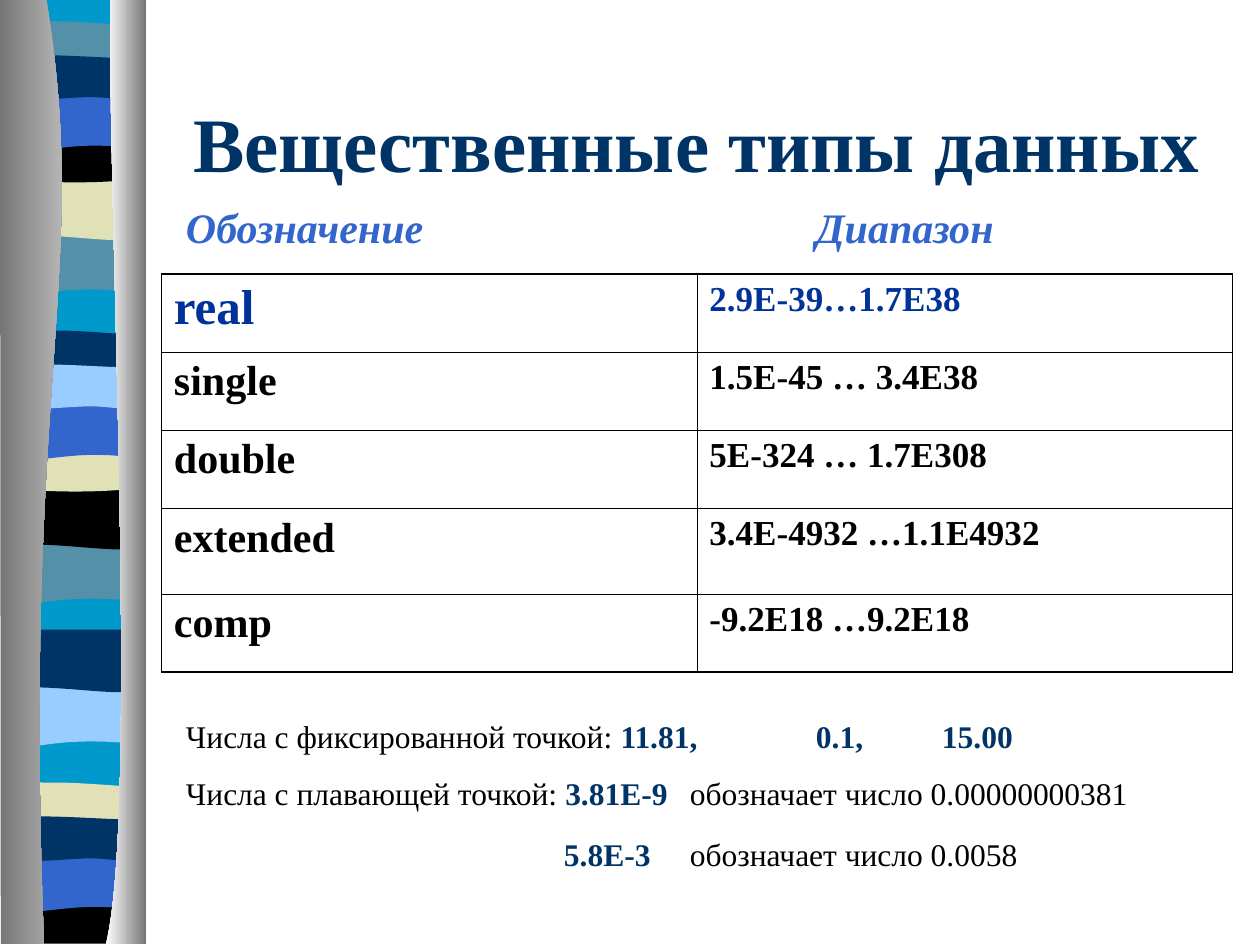
from lxml import etree
from pptx import Presentation
from pptx.dml.color import RGBColor
from pptx.enum.text import MSO_ANCHOR, PP_ALIGN
from pptx.oxml.ns import qn
from pptx.util import Pt

MIDDLE, TOP = MSO_ANCHOR.MIDDLE, MSO_ANCHOR.TOP
CENTER, LEFT = PP_ALIGN.CENTER, PP_ALIGN.LEFT
FONT = "Times New Roman"
COLORS = {
    "navy": "003366", "blue": "3366CC", "royal": "003399", "black": "000000",
    "cyan": "0099CC", "teal": "5490A8", "sand": "E1E1B7", "sky": "99CCFF",
    "gray": "767676", "silver": "D4D4D4", "white": "FFFFFF",
}

BAND_LEFT = 4.1
# Outlines in points: a pair is a corner, six numbers are a Bézier curve.
BOWL_TOP = (47.5, 3.6, 61, 0, 78, 0)
OUTLINES = {
    "wave": [(78, 0), (78, 34), (24, 28, 13, 39.5, 0, 34), (0, 0)],
    "swell": [(78, 0), (78, 34), (65, 39.5, 24, 30, 0, 34), (0, 0)],
    "lens": [(78, 3.5), (78, 21), (65, 24, 13, 24, 0, 21), (0, 3.5),
             (4.5, 0, 16.5, 0.7, 29.5, 0.7), (42.5, 0.7, 68, 3, 78, 3.5)],
    "bowl": [(78, 0), (78, 23.3), (65, 27.4, 13, 27.4, 0, 23.3), (0, 0), BOWL_TOP],
    "base": [(78, 0), (78, 26.4), (0, 26.4), (0, 0), BOWL_TOP],
    "arch": [(78, 0), (78, 34), (65.5, 30, 60.5, 30, 47.5, 30),
             (34.5, 30, 11.5, 34, 0, 34), (0, 0)],
    "ribbon": [(78, 3.6), (78, 26), (72.5, 29.5, 60.5, 26, 47.5, 26),
               (34.5, 26, 8, 29.5, 0, 26), (0, 3.6), (11, 0, 52.5, 3.6, 65.5, 3.6),
               (79, 3.6, 75, 3.6, 78, 3.6)],
}
BAND_TOPS = {"wave": 133.2, "swell": 101.5, "lens": 11.5, "bowl": 77.8,
             "base": 77.8, "arch": 53.3, "ribbon": 29.5}
# Each group of bands repeats the same tops, moved down by an offset.
BAND_GROUPS = [
    (0, [("wave", "teal"), ("swell", "sand"), ("lens", "teal"),
         ("bowl", "black"), ("arch", "blue"), ("ribbon", "navy")]),
    (176.7, [("wave", "teal"), ("swell", "black"), ("lens", "navy"),
             ("bowl", "sand"), ("arch", "blue"), ("ribbon", "sky")]),
    (258.3, [("wave", "sky"), ("swell", "navy")]),
    (435, [("lens", "sand"), ("base", "black"), ("arch", "blue"), ("ribbon", "navy")]),
]
BACKING = [(78, 0), (78, 538), (0, 538), (0, 0)]
LEFT_COLUMN = [(26.5, 0), (52, 156, 12.5, 213, 25.2, 539.3), (0.5, 539.3), (0, 0)]
RIGHT_COLUMN = [(63.3, 0), (60.5, 90, 80, 465, 60.5, 539.3), (83.5, 539.3), (83.5, 0)]

TYPES = [("real", "2.9E-39…1.7E38"), ("single", "1.5E-45 … 3.4E38"),
         ("double", "5E-324 … 1.7E308"), ("extended", "3.4E-4932 …1.1E4932"),
         ("comp", "-9.2E18 …9.2E18")]
ROW_HEIGHTS = [44.6, 44.6, 44.6, 49, 44.6]
THICK, THIN = 1.08, 0.45


def rgb(name):
    return RGBColor.from_string(COLORS[name])


def style_run(run, size, color, bold=False, italic=False):
    run.font.name = FONT
    run.font.size = Pt(size)
    run.font.bold = bold
    run.font.italic = italic
    run.font.color.rgb = rgb(color)


def add_outline(slide, outline, left=0, top=0):
    """Draw an outline through all its points, then turn each triple into a curve."""
    points = [(Pt(left + x), Pt(top + y)) for part in outline
              for x, y in zip(part[::2], part[1::2])]
    builder = slide.shapes.build_freeform(*points[0])
    builder.add_line_segments(points[1:], close=True)
    shape = builder.convert_to_shape()
    segments = iter(shape._element.findall(".//" + qn("a:lnTo")))
    for part in outline[1:]:
        segment = next(segments)
        if len(part) == 6:
            segment.tag = qn("a:cubicBezTo")
            for _ in range(2):
                extra = next(segments)
                segment.append(extra[0])
                extra.getparent().remove(extra)
    shape.shadow.inherit = False
    shape.line.fill.background()
    return shape


def fill_solid(shape, color):
    shape.fill.solid()
    shape.fill.fore_color.rgb = rgb(color)


def fill_gradient(shape, *colors):
    """Fill from left to right."""
    shape.fill.gradient()
    shape.fill.gradient_angle = 0
    for stop, color in zip(shape.fill.gradient_stops, colors):
        stop.color.rgb = rgb(color)


def add_ornament(slide):
    fill_solid(add_outline(slide, BACKING, BAND_LEFT), "cyan")
    for offset, bands in BAND_GROUPS:
        for kind, color in bands:
            band = add_outline(slide, OUTLINES[kind], BAND_LEFT, BAND_TOPS[kind] + offset)
            fill_solid(band, color)
    fill_gradient(add_outline(slide, LEFT_COLUMN), "gray", "silver")
    fill_gradient(add_outline(slide, RIGHT_COLUMN), "white", "gray")


def add_text(slide, box, lines, tabs=(), anchor=TOP, align=LEFT, gap=0):
    """Add a text box; each line is a list of (text, *style) runs."""
    text_frame = slide.shapes.add_textbox(*map(Pt, box)).text_frame
    text_frame.word_wrap = True
    text_frame.vertical_anchor = anchor
    for index, line in enumerate(lines):
        paragraph = text_frame.add_paragraph() if index else text_frame.paragraphs[0]
        paragraph.alignment = align
        if index:
            paragraph.space_before = Pt(gap)
        if tabs:
            tab_list = etree.SubElement(paragraph._p.get_or_add_pPr(), qn("a:tabLst"))
            for position in tabs:
                etree.SubElement(tab_list, qn("a:tab"), pos=str(Pt(position)), algn="l")
        for text, *style in line:
            run = paragraph.add_run()
            run.text = text
            style_run(run, *style)


def set_borders(cell, widths):
    properties = cell._tc.get_or_add_tcPr()
    for side, width in widths.items():
        line = etree.SubElement(properties, qn("a:ln" + side), w=str(Pt(width)))
        fill = etree.SubElement(line, qn("a:solidFill"))
        etree.SubElement(fill, qn("a:srgbClr"), val=COLORS["black"])


def add_types_table(slide):
    rows, columns = len(TYPES), len(TYPES[0])
    table = slide.shapes.add_table(rows, columns, Pt(92.2), Pt(156.7), Pt(612),
                                   Pt(sum(ROW_HEIGHTS))).table
    table.first_row = table.horz_banding = False
    for row, (texts, height) in enumerate(zip(TYPES, ROW_HEIGHTS)):
        table.rows[row].height = Pt(height)
        for column, text in enumerate(texts):
            cell = table.cell(row, column)
            cell.text = text
            size = 20 if column else 24 if row else 28
            style_run(cell.text_frame.paragraphs[0].runs[0], size,
                      "black" if row else "royal", True)
            outer = {"L": column == 0, "R": column == columns - 1,
                     "T": row == 0, "B": row == rows - 1}
            set_borders(cell, {side: THICK if edge else THIN for side, edge in outer.items()})
            cell.fill.background()


def main():
    presentation = Presentation()
    presentation.slide_width, presentation.slide_height = Pt(720), Pt(540)
    slide = presentation.slides.add_slide(presentation.slide_layouts[6])
    add_ornament(slide)
    add_text(slide, (92.2, 36, 612, 90),
             [[("Вещественные типы данных", 44, "navy", True)]], anchor=MIDDLE, align=CENTER)
    add_types_table(slide)
    add_text(slide, (99.2, 111.6, 590, 36),
             [[("Обозначение\tДиапазон", 24, "blue", True, True)]], tabs=[360])
    plain, strong = (18, "black"), (18, "navy", True)
    add_text(slide, (99.2, 406, 595.5, 97.2), [
        [("Числа с фиксированной точкой: ", *plain), ("11.81,\t0.1,\t15.00", *strong)],
        [("Числа с плавающей точкой: ", *plain), ("3.81Е-9\t", *strong),
         ("обозначает число 0.00000000381", *plain)],
        [("\t5.8Е-3", *strong), ("\t", 20, "blue", True),
         ("обозначает число 0.0058", *plain)],
    ], tabs=[216, 288, 360, 432], gap=11.2)
    presentation.save("out.pptx")


if __name__ == "__main__":
    main()
